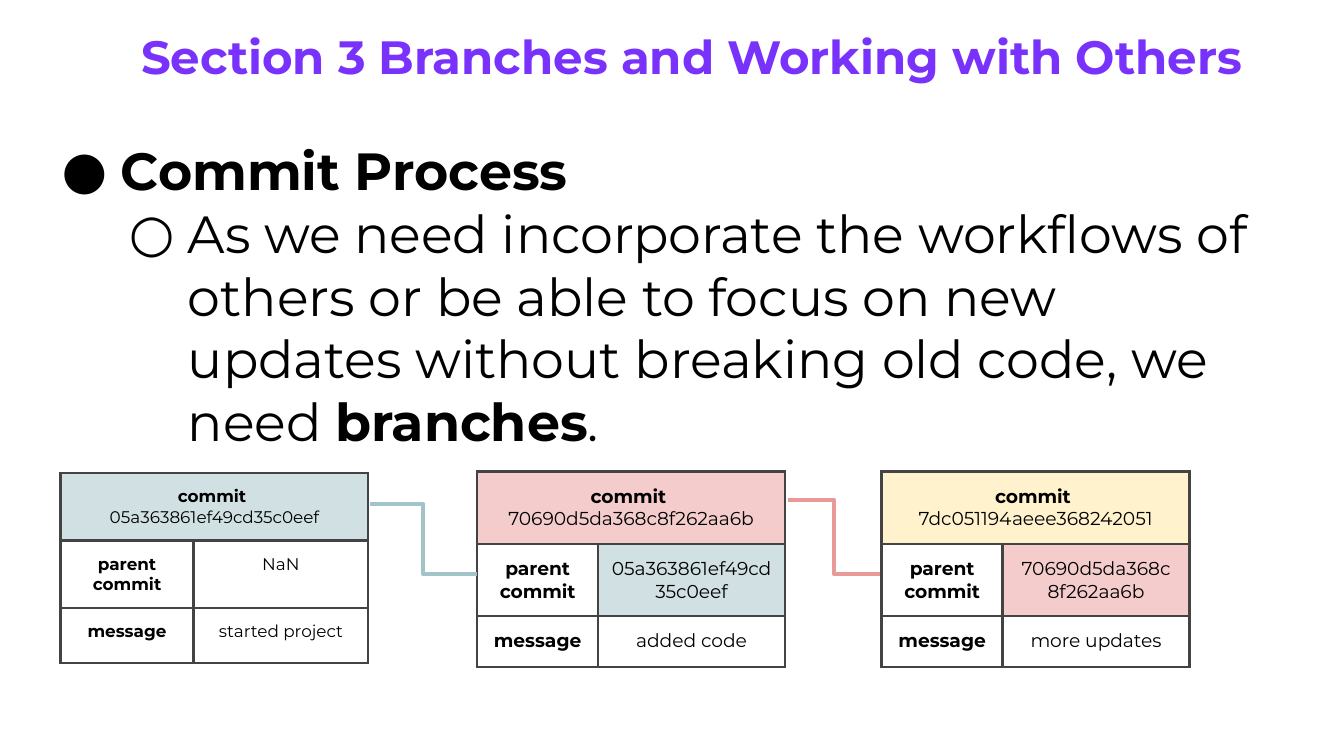
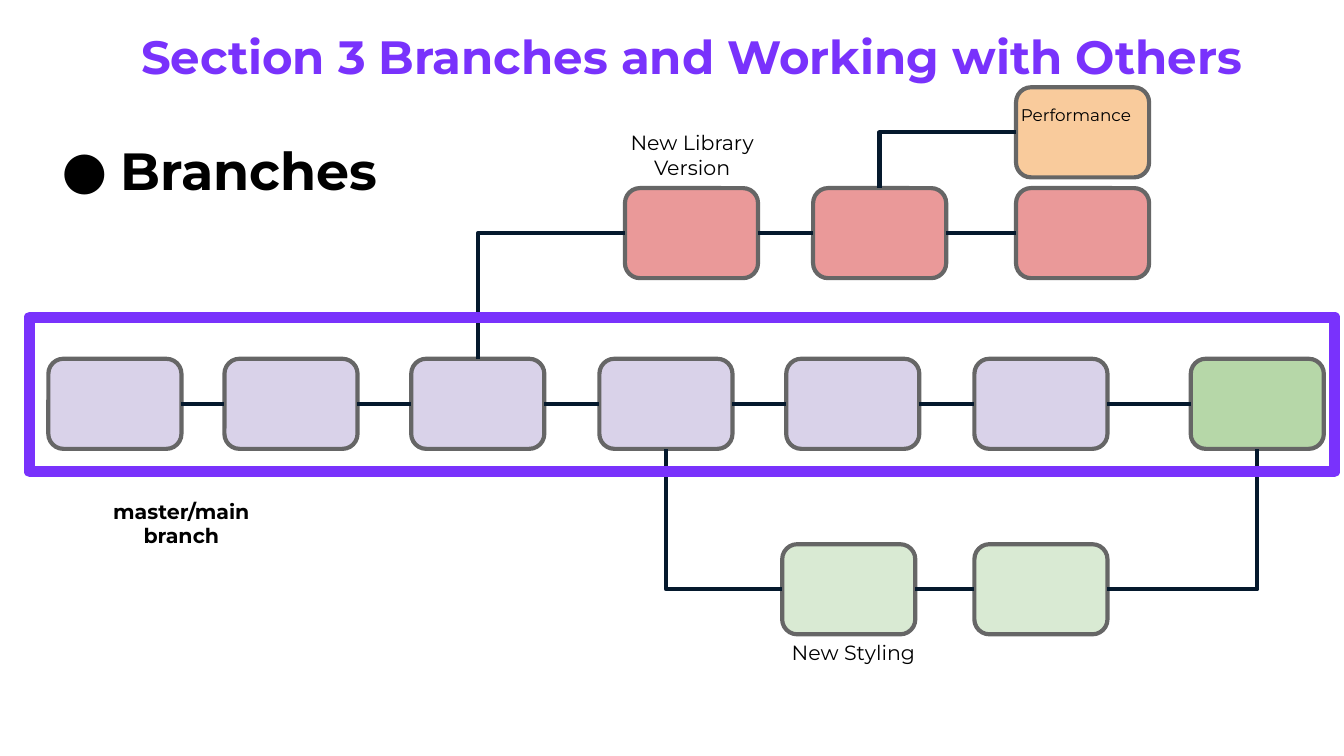
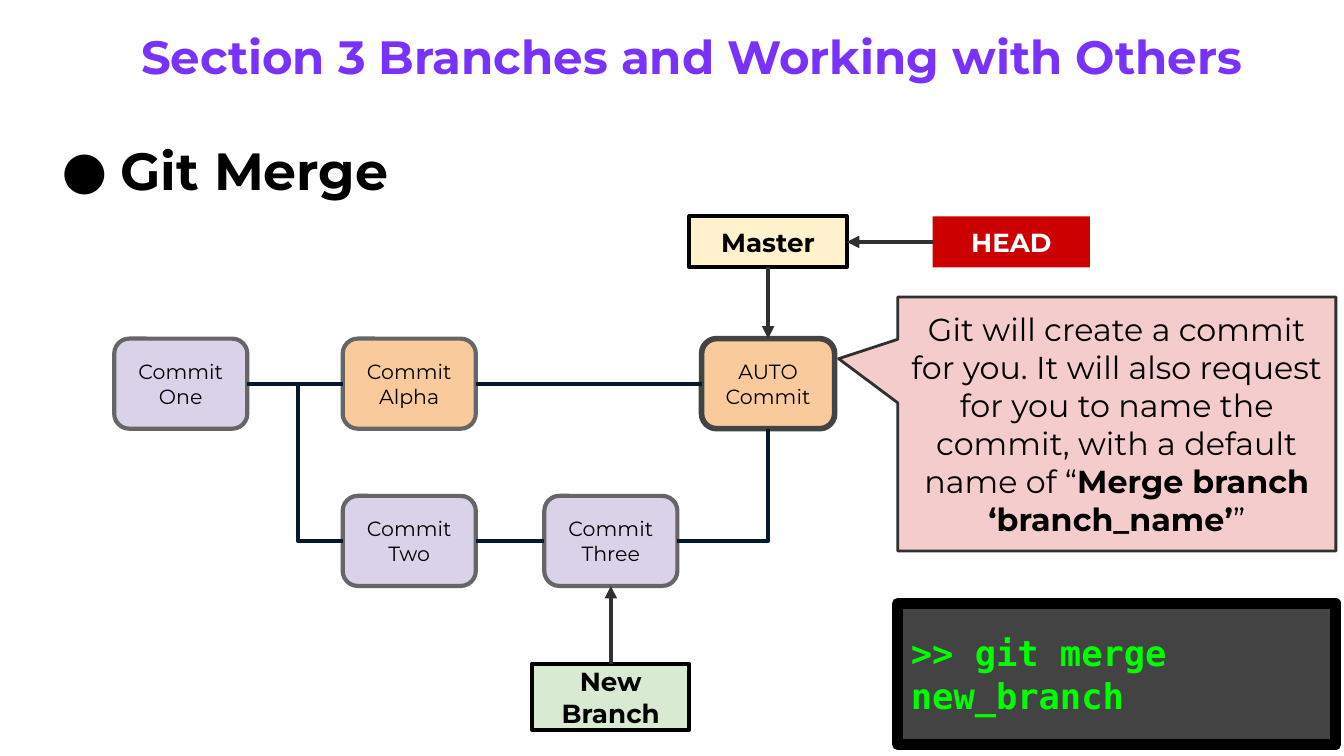
from dataclasses import dataclass

from lxml import etree
from pptx import Presentation
from pptx.dml.color import RGBColor
from pptx.enum import shapes, text
from pptx.oxml import ns
from pptx.util import Inches, Pt


@dataclass(frozen=True)
class Theme:
    font: str = "Montserrat"
    mono: str = "DejaVu Sans Mono"
    title_size: float = 25
    body_size: float = 28
    terminal_size: float = 19
    callout_size: float = 17
    pointer_size: float = 14
    label_size: float = 11
    cell_size: float = 10
    small_size: float = 9
    purple: str = "7932FC"
    black: str = "000000"
    white: str = "FFFFFF"
    charcoal: str = "434343"
    gray: str = "666666"
    arrow: str = "303030"
    navy: str = "05192D"
    lavender: str = "D9D2E9"
    orange: str = "F9CB9C"
    coral: str = "EA9999"
    pink: str = "F4CCCC"
    cream: str = "FFF2CC"
    mint: str = "D9EAD3"
    green: str = "B6D7A8"
    ice: str = "D0E0E3"
    teal: str = "A2C4C9"
    red: str = "CC0000"
    lime: str = "00FF00"
    line: float = 2.25
    frame_line: float = 6


@dataclass(frozen=True)
class Box:
    left: float
    top: float
    width: float
    height: float

    def lengths(self):
        return [Inches(n) for n in (self.left, self.top, self.width, self.height)]


THEME = Theme()
TITLE = "Section 3 Branches and Working with Others"
TITLE_BOX = Box(0.95, 0.11, 8.4, 1.04)
COMMIT_SIZE = (0.99, 0.67)
TOP, LEFT, BOTTOM, RIGHT = range(4)
CENTER = text.PP_ALIGN.CENTER


def rgb(color):
    return RGBColor.from_string(color)


def add_xml(parent, tag, **attributes):
    return etree.SubElement(parent, ns.qn(tag), attributes)


# Text

def set_margins(holder):
    """Give a text frame or a table cell the shared inner margins."""
    holder.margin_left = holder.margin_right = Inches(0.1)
    holder.margin_top = holder.margin_bottom = Inches(0.1)


def write_paragraphs(frame, paragraphs, size, color=THEME.black, bold=False,
                     align=CENTER, font=THEME.font):
    """Fill a frame; a paragraph is a string or a list of (string, bold) runs."""
    for index, content in enumerate(paragraphs):
        paragraph = frame.add_paragraph() if index else frame.paragraphs[0]
        paragraph.alignment = align
        paragraph.font.name = font
        paragraph.font.size = Pt(size)
        paragraph.font.color.rgb = rgb(color)
        if isinstance(content, str):
            paragraph.font.bold = bold
            paragraph.add_run().text = content
            continue
        for words, is_bold in content:
            run = paragraph.add_run()
            run.text = words
            run.font.bold = is_bold


def write(frame, paragraphs, size, anchor=text.MSO_ANCHOR.TOP, **style):
    frame.word_wrap = True
    frame.vertical_anchor = anchor
    set_margins(frame)
    write_paragraphs(frame, paragraphs, size, **style)


def add_label(slide, box, words, size=THEME.label_size, bold=False):
    label = slide.shapes.add_textbox(*box.lengths())
    write(label.text_frame, [words], size, bold=bold)


def add_bullet(paragraph, level):
    paragraph.level = level
    properties = paragraph._p.get_or_add_pPr()
    properties.set("marL", str(Inches(0.5 * (level + 1))))
    properties.set("indent", str(Inches(-0.44)))
    color = etree.Element(ns.qn("a:buClr"))
    add_xml(color, "a:srgbClr", val=THEME.black)
    font = etree.Element(ns.qn("a:buFont"), typeface=THEME.font)
    bullet = etree.Element(ns.qn("a:buChar"), char="●○"[level])
    for index, part in enumerate((color, font, bullet)):
        properties.insert(index, part)


def add_body(slide, box, paragraphs):
    body = slide.shapes.add_textbox(*box.lengths())
    write(body.text_frame, paragraphs, THEME.body_size, align=text.PP_ALIGN.LEFT)
    for level, paragraph in enumerate(body.text_frame.paragraphs):
        add_bullet(paragraph, level)


def add_titled_slide(presentation):
    slide = presentation.slides.add_slide(presentation.slide_layouts[5])
    title = slide.shapes.title
    title.left, title.top, title.width, title.height = TITLE_BOX.lengths()
    write(title.text_frame, [TITLE], THEME.title_size, color=THEME.purple,
          bold=True, align=text.PP_ALIGN.LEFT)
    title.text_frame.auto_size = text.MSO_AUTO_SIZE.NONE
    return slide


# Shapes and connectors

def add_block(slide, kind, box, fill=None, line=None, width=THEME.line):
    block = slide.shapes.add_shape(kind, *box.lengths())
    block.shadow.inherit = False
    if fill:
        block.fill.solid()
        block.fill.fore_color.rgb = rgb(fill)
    else:
        block.fill.background()
    if line:
        block.line.color.rgb = rgb(line)
        block.line.width = Pt(width)
    else:
        block.line.fill.background()
    return block


def add_line(slide, kind, points=(0, 0, 0, 0), color=THEME.navy, arrow=False):
    line = slide.shapes.add_connector(kind, *[Inches(n) for n in points])
    line.line.color.rgb = rgb(color)
    line.line.width = Pt(THEME.line)
    if arrow:
        add_xml(line.line._get_or_add_ln(), "a:tailEnd", type="triangle")
    add_xml(line._element.spPr, "a:effectLst")
    return line


def join(slide, start, start_side, end, end_side,
         kind=shapes.MSO_CONNECTOR.STRAIGHT, **style):
    line = add_line(slide, kind, **style)
    line.begin_connect(start, start_side)
    line.end_connect(end, end_side)
    return line


def join_corner(slide, start, start_side, end, end_side):
    """Join two commits with one bend, leaving the start horizontally."""
    line = join(slide, start, start_side, end, end_side, shapes.MSO_CONNECTOR.ELBOW)
    line._element.spPr.find(ns.qn("a:prstGeom")).set("prst", "bentConnector2")


def add_commit(slide, left, top, fill, words=()):
    commit = add_block(slide, shapes.MSO_SHAPE.ROUNDED_RECTANGLE,
                       Box(left, top, *COMMIT_SIZE), fill, THEME.gray)
    if words:
        write(commit.text_frame, words, THEME.label_size,
              anchor=text.MSO_ANCHOR.MIDDLE)
    return commit


def add_branch(slide, left, top, offsets, fills, labels=None):
    """Place a row of commits and link each one to the next."""
    labels = labels or [()] * len(offsets)
    commits = [add_commit(slide, left + offset, top, fill, words)
               for offset, fill, words in zip(offsets, fills, labels)]
    for before, after in zip(commits, commits[1:]):
        join(slide, before, RIGHT, after, LEFT)
    return commits


def add_pointer(slide, box, words, fill, line=THEME.black, color=THEME.black):
    pointer = add_block(slide, shapes.MSO_SHAPE.RECTANGLE, box, fill, line)
    write(pointer.text_frame, [words], THEME.pointer_size, color=color, bold=True,
          anchor=text.MSO_ANCHOR.MIDDLE)
    return pointer


# Commit tables

def style_cell(cell, fill):
    set_margins(cell)
    if fill:
        cell.fill.solid()
        cell.fill.fore_color.rgb = rgb(fill)
    else:
        cell.fill.background()
    properties = cell._tc.get_or_add_tcPr()
    for index, side in enumerate("LRTB"):
        border = etree.Element(ns.qn(f"a:ln{side}"), w=str(Pt(1.5)))
        add_xml(add_xml(border, "a:solidFill"), "a:srgbClr", val=THEME.charcoal)
        properties.insert(index, border)


def add_commit_table(slide, box, key_width, heights, commit, parent, message,
                     fill, parent_fill=None, size=THEME.cell_size):
    table = slide.shapes.add_table(3, 2, *box.lengths()).table
    table.first_row = table.horz_banding = False
    table.columns[0].width = Inches(key_width)
    table.columns[1].width = Inches(box.width - key_width)
    for row, height in zip(table.rows, heights):
        row.height = Inches(height)
    table.cell(0, 0).merge(table.cell(0, 1))
    contents = [[[[("commit ", True)], [(commit, False)]], []],
                [[[("parent commit", True)]], [[(parent, False)]]],
                [[[("message", True)]], [[(message, False)]]]]
    fills = [[fill, fill], [None, parent_fill], [None, None]]
    for r, row in enumerate(contents):
        for c, paragraphs in enumerate(row):
            cell = table.cell(r, c)
            style_cell(cell, fills[r][c])
            write_paragraphs(cell.text_frame, paragraphs, size)


# Slides

def build_commit_process(presentation):
    slide = add_titled_slide(presentation)
    add_body(slide, Box(0.3, 0.93, 9.25, 2.56), [
        [("Commit Process", True)],
        [("As we need incorporate the workflows of others or be able to focus on "
          "new updates without breaking old code, we need ", False),
         ("branches", True), (".", False)]])

    first, second, third = ("05a363861ef49cd35c0eef", "70690d5da368c8f262aa6b",
                            "7dc051194aeee368242051")
    add_commit_table(slide, Box(0.45, 3.52, 2.29, 1.41), 0.99, (0.5, 0.5, 0.41),
                     first, "NaN", "started project", THEME.ice,
                     size=THEME.small_size)
    for left, commit, parent, message, fill, parent_fill in (
            (3.55, second, first, "added code", THEME.pink, THEME.ice),
            (6.56, third, second, "more updates", THEME.cream, THEME.pink)):
        add_commit_table(slide, Box(left, 3.51, 2.29, 1.45), 0.9,
                         (0.54, 0.53, 0.38), commit, parent, message, fill,
                         parent_fill)

    # Links from each commit to its child
    for points, color in (((2.75, 3.75, 3.55, 4.27), THEME.teal),
                          ((5.86, 3.72, 6.55, 4.27), THEME.coral)):
        add_line(slide, shapes.MSO_CONNECTOR.ELBOW, points, color)


def build_branches(presentation):
    slide = add_titled_slide(presentation)
    add_body(slide, Box(0.3, 0.93, 9.25, 0.67), [[("Branches", True)]])

    main_row = add_branch(slide, 0.36, 2.67, (0, 1.31, 2.7, 4.1, 5.49, 6.89, 8.5),
                          [THEME.lavender] * 6 + [THEME.green])
    library = add_branch(slide, 4.65, 1.4, (0, 1.4, 2.91), [THEME.coral] * 3)
    styling = add_branch(slide, 5.82, 4.05, (0, 1.43), [THEME.mint] * 2)
    performance = add_commit(slide, 7.56, 0.65, THEME.orange)

    # Where branches fork and merge
    join_corner(slide, library[0], LEFT, main_row[2], TOP)
    join_corner(slide, performance, LEFT, library[1], TOP)
    join_corner(slide, styling[0], LEFT, main_row[3], BOTTOM)
    join_corner(slide, styling[-1], RIGHT, main_row[-1], BOTTOM)

    # Frame and branch names
    add_block(slide, shapes.MSO_SHAPE.RECTANGLE, Box(0.22, 2.36, 9.71, 1.15),
              line=THEME.purple, width=THEME.frame_line)
    add_label(slide, Box(4.54, 0.87, 1.22, 0.57), "New Library Version")
    add_label(slide, Box(5.74, 4.67, 1.22, 0.39), "New Styling")
    add_label(slide, Box(7.47, 0.7, 1.07, 0.35), "Performance", THEME.small_size)
    add_label(slide, Box(0.47, 3.61, 1.76, 0.57), "master/main branch", bold=True)


def add_callout(slide, box):
    callout = add_block(slide, shapes.MSO_SHAPE.RECTANGULAR_CALLOUT, box,
                        THEME.pink, THEME.arrow, 1.5)
    callout.adjustments[0] = -0.635
    callout.adjustments[1] = -0.257
    write(callout.text_frame, [[
        ("Git will create a commit for you. It will also request for you to name "
         "the commit, with a default name of “", False),
        ("Merge branch ‘branch_name’", True), ("”", False)]],
        THEME.callout_size, anchor=text.MSO_ANCHOR.MIDDLE)


def add_terminal(slide, box, command):
    terminal = add_block(slide, shapes.MSO_SHAPE.RECTANGLE, box, THEME.charcoal,
                         THEME.black, THEME.frame_line)
    write(terminal.text_frame, [command], THEME.terminal_size, color=THEME.lime,
          bold=True, align=text.PP_ALIGN.LEFT, font=THEME.mono,
          anchor=text.MSO_ANCHOR.MIDDLE)


def build_git_merge(presentation):
    slide = add_titled_slide(presentation)
    add_body(slide, Box(0.3, 0.93, 9.25, 0.67), [[("Git Merge", True)]])

    master_row = add_branch(
        slide, 0.85, 2.52, (0, 1.7, 4.37),
        (THEME.lavender, THEME.orange, THEME.orange),
        (("Commit", "One"), ("Commit", "Alpha"), ("AUTO", "Commit")))
    merge_commit = master_row[-1]
    merge_commit.line.color.rgb = rgb(THEME.charcoal)
    merge_commit.line.width = Pt(3)
    branch_row = add_branch(slide, 2.55, 3.69, (0, 1.5), [THEME.lavender] * 2,
                            (("Commit", "Two"), ("Commit", "Three")))
    fork = join(slide, master_row[0], RIGHT, branch_row[0], LEFT,
                shapes.MSO_CONNECTOR.ELBOW)
    bend = fork._element.spPr.find(ns.qn("a:prstGeom")).get_or_add_avLst()
    add_xml(bend, "a:gd", name="adj1", fmla="val 53000")
    join_corner(slide, branch_row[-1], RIGHT, merge_commit, BOTTOM)

    # Pointers to commits
    master = add_pointer(slide, Box(5.13, 1.61, 1.17, 0.38), "Master", THEME.cream)
    head = add_pointer(slide, Box(6.94, 1.61, 1.17, 0.38), "HEAD", THEME.red,
                       None, THEME.white)
    new_branch = add_pointer(slide, Box(3.96, 4.94, 1.17, 0.49), "New Branch",
                             THEME.mint)
    for start, start_side, end, end_side in (
            (master, BOTTOM, merge_commit, TOP),
            (head, LEFT, master, RIGHT),
            (new_branch, TOP, branch_row[-1], BOTTOM)):
        join(slide, start, start_side, end, end_side, color=THEME.arrow, arrow=True)

    add_terminal(slide, Box(6.68, 4.49, 3.26, 1.05), ">> git merge new_branch")
    add_callout(slide, Box(6.68, 2.21, 3.26, 1.89))


def main():
    presentation = Presentation()
    presentation.slide_width = Inches(10)
    presentation.slide_height = Inches(10) * 9 // 16
    build_commit_process(presentation)
    build_branches(presentation)
    build_git_merge(presentation)
    presentation.save("out.pptx")


if __name__ == "__main__":
    main()
